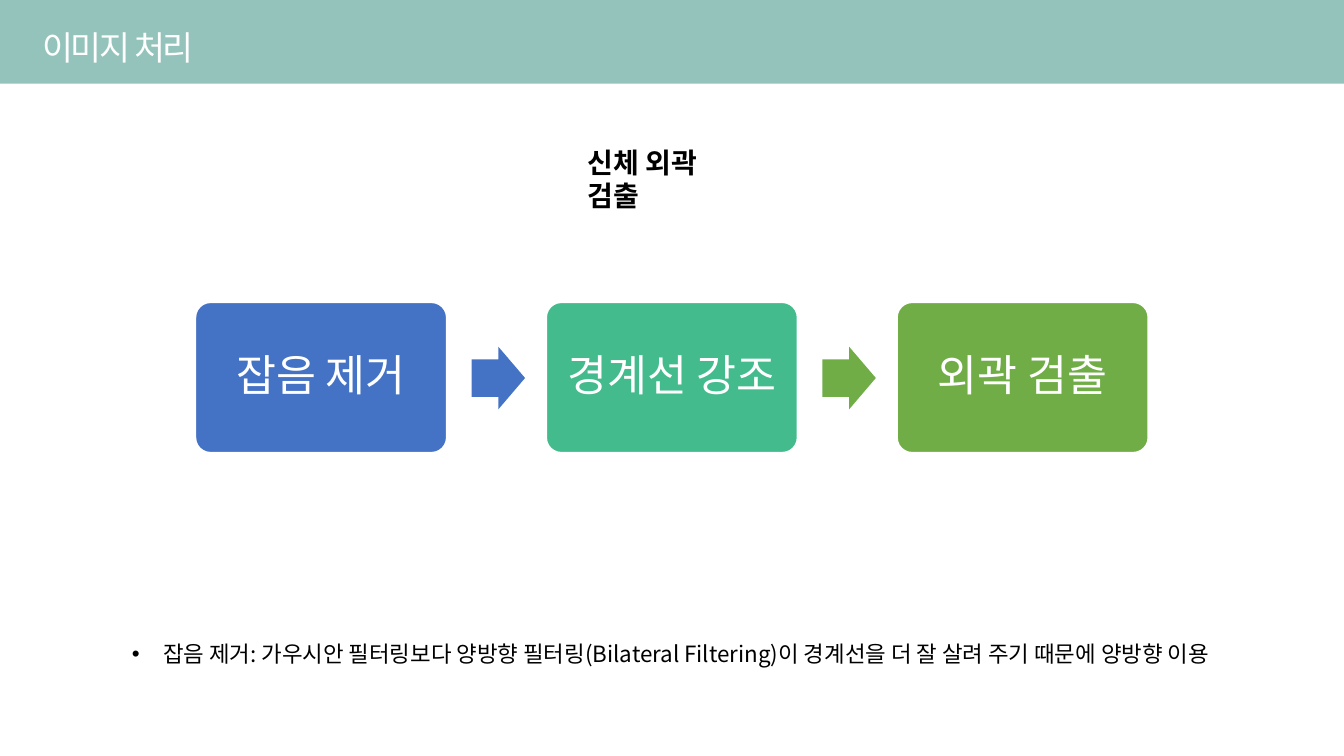
"""Build the image processing slide: title band, three steps and a note."""
from dataclasses import dataclass, field
from typing import Any

from lxml.etree import SubElement as Sub
from pptx import Presentation
from pptx.dml.color import RGBColor
from pptx.enum.shapes import MSO_SHAPE as Kind
from pptx.enum.text import MSO_ANCHOR as Anchor, MSO_AUTO_SIZE as Auto, PP_ALIGN as Align
from pptx.oxml.ns import qn
from pptx.util import Inches, Pt

FONT = "Noto Sans CJK KR"
BAND = RGBColor(0x94, 0xC3, 0xBB)
WHITE = RGBColor(0xFF, 0xFF, 0xFF)
BLACK = RGBColor(0, 0, 0)
BLUE = RGBColor(0x44, 0x72, 0xC4)
TEAL = RGBColor(0x43, 0xBB, 0x8D)
GREEN = RGBColor(0x70, 0xAD, 0x47)

WIDE, HIGH = Inches(13.33), Inches(7.5)
LEFT, STEP = 14.55, 26.1
INSET = Inches(0.15)


@dataclass(frozen=True)
class Area:
    x: float
    y: float
    w: float
    h: float

    def place(self) -> tuple[int, int, int, int]:
        return (int(WIDE * self.x / 100), int(HIGH * self.y / 100),
                int(WIDE * self.w / 100), int(HIGH * self.h / 100))


@dataclass(frozen=True)
class Step:
    text: str
    fill: RGBColor
    arrow: RGBColor | None = None


@dataclass(frozen=True)
class Label:
    text: str
    area: Area
    size: int
    color: RGBColor
    bold: bool = False
    extra: dict[str, str] = field(default_factory=dict)
    bullet: bool = False


STEPS = (
    Step("잡음 제거", BLUE, BLUE),
    Step("경계선 강조", TEAL, GREEN),
    Step("외곽 검출", GREEN),
)
LABELS = (
    Label("이미지 처리", Area(2.4, 2.93, 52.05, 6.67), 24, WHITE, extra={"spc": "-150"}),
    Label("신체 외곽 검출", Area(42.98, 18.53, 13.88, 5.87), 20, BLACK, bold=True),
    Label("잡음 제거: 가우시안 필터링보다 양방향 필터링(Bilateral Filtering)이 "
          "경계선을 더 잘 살려 주기 때문에 양방향 이용",
          Area(9.08, 84, 81.83, 4.93), 16, BLACK, bullet=True),
)


def apply(item: Any, form: dict[str, Any]) -> None:
    for name, value in form.items():
        setattr(item, name, value)


def write(para: Any, text: str, size: int, color: RGBColor, bold: bool = False) -> Any:
    run = para.add_run()
    run.text = text
    apply(run.font, {"name": FONT, "size": Pt(size), "bold": bold})
    run.font.color.rgb = color
    props = run.font._element
    Sub(props, qn("a:ea")).set("typeface", FONT)
    return props


def block(slide: Any, kind: Kind, area: Area, fill: RGBColor, marks: tuple[float, ...] = ()) -> Any:
    shape = slide.shapes.add_shape(kind, *area.place())
    shape.shadow.inherit = False
    shape.fill.solid()
    shape.fill.fore_color.rgb = fill
    shape.line.fill.background()
    for index, mark in enumerate(marks):
        shape.adjustments[index] = mark
    return shape


def draw_step(slide: Any, index: int, step: Step) -> None:
    left = LEFT + index * STEP
    box = block(slide, Kind.ROUNDED_RECTANGLE, Area(left, 40, 18.68, 19.87), step.fill, (0.1,))
    box.line.color.rgb = WHITE
    box.line.width = Pt(1)
    frame = box.text_frame
    apply(frame, {"word_wrap": True, "vertical_anchor": Anchor.MIDDLE,
                  "margin_left": INSET, "margin_right": INSET})
    para = frame.paragraphs[0]
    apply(para, {"alignment": Align.CENTER, "line_spacing": 0.9})
    write(para, step.text, 31, WHITE)
    if step.arrow is not None:
        block(slide, Kind.RIGHT_ARROW, Area(left + 20.55, 45.87, 3.97, 8.27),
              step.arrow, (0.6, 0.5))


def draw_label(slide: Any, label: Label) -> None:
    frame = slide.shapes.add_textbox(*label.area.place()).text_frame
    apply(frame, {"word_wrap": True, "auto_size": Auto.SHAPE_TO_FIT_TEXT})
    para = frame.paragraphs[0]
    props = write(para, label.text, label.size, label.color, label.bold)
    for name, value in label.extra.items():
        props.set(name, value)
    if label.bullet:
        layout = para._p.get_or_add_pPr()
        indent = Inches(0.31)
        layout.set("marL", str(indent))
        layout.set("indent", str(-indent))
        Sub(layout, qn("a:buFont")).set("typeface", "Arial")
        Sub(layout, qn("a:buChar")).set("char", "•")


def main() -> None:
    deck = Presentation()
    apply(deck, {"slide_width": WIDE, "slide_height": HIGH})
    slide = deck.slides.add_slide(deck.slide_layouts[6])
    back = slide.background.fill
    back.solid()
    back.fore_color.rgb = BAND
    block(slide, Kind.RECTANGLE, Area(0, 11.07, 100, 88.93), WHITE)
    for index, step in enumerate(STEPS):
        draw_step(slide, index, step)
    for label in LABELS:
        draw_label(slide, label)
    deck.save("out.pptx")


if __name__ == "__main__":
    main()
